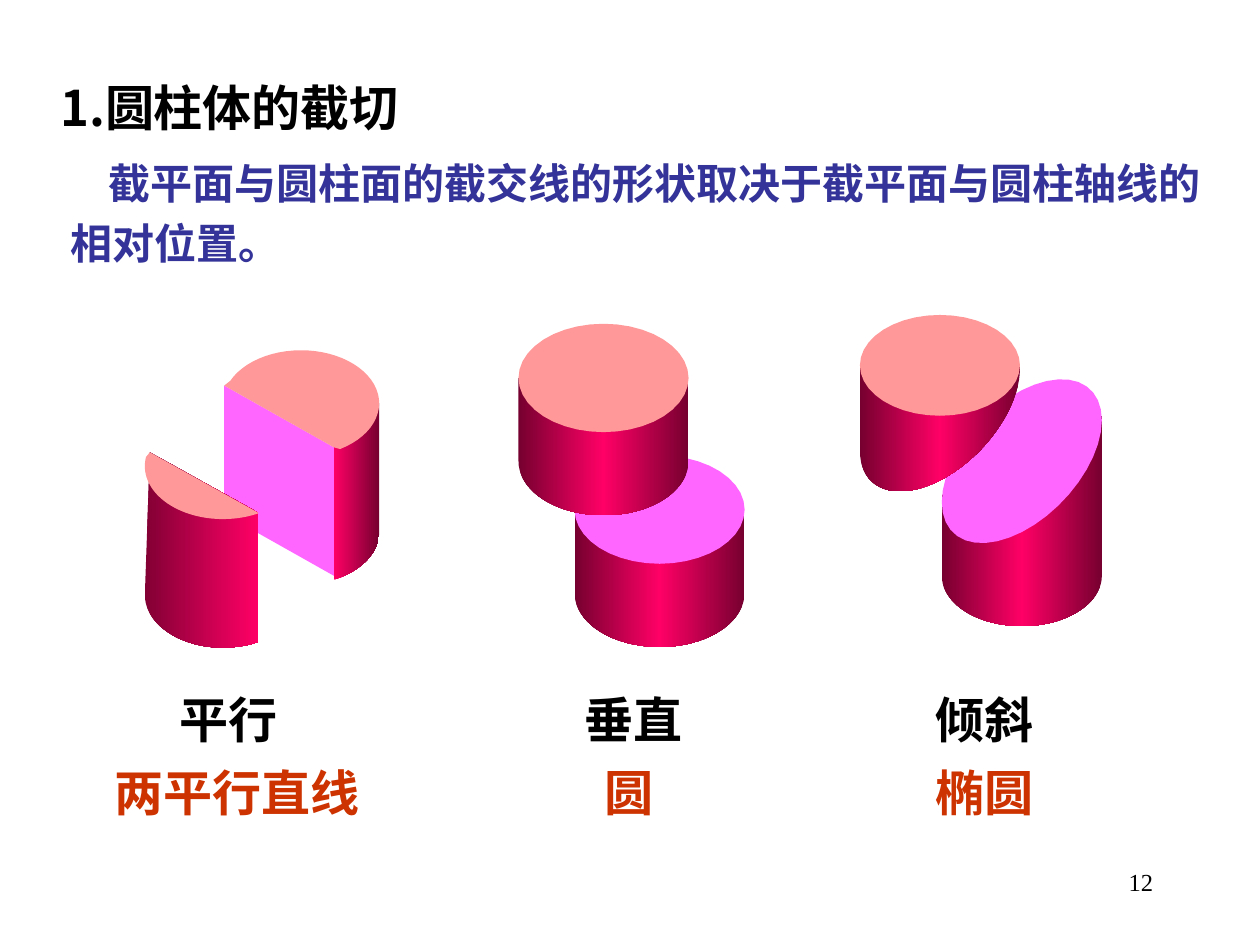
from copy import deepcopy
from math import cos, radians, sin

from lxml import etree
from pptx import Presentation
from pptx import util as u
from pptx.dml.color import RGBColor
from pptx.enum import text
from pptx.oxml.ns import qn

COLORS = {
    "black": "000000", "blue": "333399", "red": "CC3300",
    "top": "FF9999", "cut": "FF66FF",
    "bright": "FF0066", "dark": "76002F", "shade": "820034",
}
SANS, SERIF = "Noto Sans CJK SC", "Times New Roman"
ROUND = ("dark", "bright", "dark")
WIDTH, HEIGHT = 10, 7.5
LABEL_ROW, RESULT_ROW, ROW_HEIGHT = 5.42, 6.0, 0.57

TITLE = "1.圆柱体的截切"
STATEMENT = "截平面与圆柱面的截交线的形状取决于截平面与圆柱轴线的相对位置。"
CASES = [
    ("平行", 1.33, "两平行直线", 0.81),
    ("垂直", 4.54, "圆", 4.70),
    ("倾斜", 7.33, "椭圆", 7.33),
]


def arc(center_x, center_y, radius_x, radius_y, start=0, end=360, phase=0, steps=40):
    angles = [start + (end - start) * step / steps for step in range(steps + 1)]
    return [(center_x + radius_x * cos(radians(a)),
             center_y + radius_y * sin(radians(a + phase))) for a in angles]


def split_lengthwise():
    radii = (0.62, 0.42)
    back_x, back_y, front_x, front_y, drop = 2.39, 3.2, 1.77, 3.7, 1.02
    back_left, back_right = (1.78, 3.06), (2.65, 3.55)
    front_left, front_right = (1.19, 3.59), (2.05, 4.07)
    return [
        ([back_right, (3.01, back_y)]
         + arc(back_x, back_y + drop, *radii, 0, 65), ("bright", "dark")),
        ([back_left, (1.78, 4.08), (2.65, 4.57), back_right], ("cut",)),
        ([back_left] + arc(back_x, back_y, *radii, 205, 420) + [back_right], ("top",)),
        ([front_left] + arc(front_x, front_y + drop, *radii, 180, 63)
         + [front_right], ("shade", "bright")),
        ([front_left] + arc(front_x, front_y, *radii, 190, 63)
         + [front_right], ("top",)),
    ]


def split_across():
    radii, drop, faces = (0.675, 0.43), 0.66, []
    for center_x, center_y, color in [(5.235, 4.045, "cut"), (4.79, 3.0, "top")]:
        side = arc(center_x, center_y + drop, *radii, 180, 0)
        rim = [(center_x + radii[0], center_y), (center_x - radii[0], center_y)]
        faces += [(side + rim, ROUND), (arc(center_x, center_y, *radii), (color,))]
    return faces


def split_obliquely():
    radius, cut_height, tilt = 0.635, 0.65, 210
    low_x, high_x = 8.11, 7.46
    return [
        (arc(low_x, 4.57, radius, 0.4, 180, 0)
         + [(low_x + radius, 3.3), (low_x - radius, 3.93)], ROUND),
        (arc(low_x, 3.66, radius, cut_height, phase=tilt), ("cut",)),
        (arc(high_x, 3.25, radius, cut_height, 180, 360, tilt)
         + [(high_x + radius, 2.9), (high_x - radius, 2.9)], ROUND),
        (arc(high_x, 2.9, radius, 0.4), ("top",)),
    ]


def rgb(name):
    return RGBColor.from_string(COLORS[name])


def add_face(shapes, points, fills):
    points = [(u.Inches(x), u.Inches(y)) for x, y in points]
    outline = shapes.build_freeform(*points[0])
    outline.add_line_segments(points[1:], close=True)
    face = outline.convert_to_shape()
    face.shadow.inherit = False
    face.line.fill.background()
    if len(fills) == 1:
        face.fill.solid()
        face.fill.fore_color.rgb = rgb(fills[0])
        return
    face.fill.gradient()
    face.fill.gradient_angle = 0
    stops = face._element.spPr.find(".//" + qn("a:gsLst"))
    while len(stops) < len(fills):
        stops.append(deepcopy(stops[0]))
    for index, stop in enumerate(face.fill.gradient_stops):
        stop.position = index / (len(fills) - 1)
        stop.color.rgb = rgb(fills[index])


def add_text(page, content, left, top, width, height=ROW_HEIGHT, *, size=28,
             color="black", font=SANS, bold=True, align=text.PP_ALIGN.LEFT,
             inset=(0.1, 0.05), wrap=True, spacing=None, indent=0):
    box = page.shapes.add_textbox(*map(u.Inches, (left, top, width, height)))
    frame = box.text_frame
    frame.word_wrap = wrap
    frame.margin_left = frame.margin_right = u.Inches(inset[0])
    frame.margin_top = frame.margin_bottom = u.Inches(inset[1])
    para = frame.paragraphs[0]
    para.alignment = align
    if spacing:
        para.line_spacing = spacing
    if indent:
        para._p.get_or_add_pPr().set("indent", str(u.Inches(indent)))
    span = para.add_run()
    span.text = content
    span.font.size, span.font.bold, span.font.name = u.Pt(size), bold, font
    span.font.color.rgb = rgb(color)
    east_asian = etree.Element(qn("a:ea"), typeface=font)
    span._r.rPr.find(qn("a:latin")).addnext(east_asian)


def main():
    deck = Presentation()
    deck.slide_width, deck.slide_height = u.Inches(WIDTH), u.Inches(HEIGHT)
    page = deck.slides.add_slide(deck.slide_layouts[6])
    add_text(page, "12", 7.17, 6.83, 2.08, 0.5, size=14, font=SERIF,
             bold=False, align=text.PP_ALIGN.RIGHT)
    add_text(page, TITLE, 0.38, 0.57, 4.85)
    add_text(page, STATEMENT, 0.56, 1.17, 8.97, 1.05, size=24, color="blue",
             inset=(0, 0), spacing=1.2, indent=0.3)
    for label, label_left, result, result_left in CASES:
        add_text(page, label, label_left, LABEL_ROW, 1.32)
        add_text(page, result, result_left, RESULT_ROW, 0.2 + 0.43 * max(2, len(result)),
                 color="red")
    for solid in (split_lengthwise(), split_across(), split_obliquely()):
        group = page.shapes.add_group_shape()
        for points, fills in solid:
            add_face(group.shapes, points, fills)
    deck.save("out.pptx")


if __name__ == "__main__":
    main()
